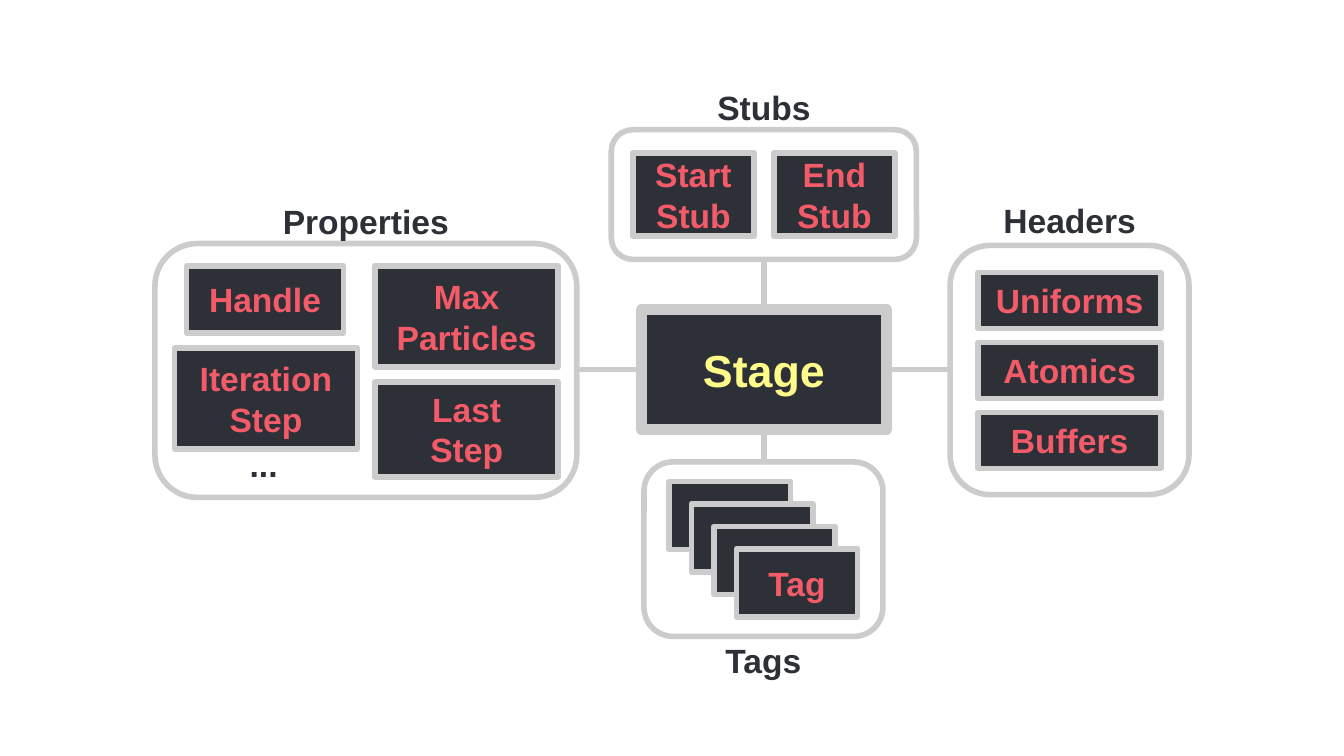
from collections import namedtuple
from dataclasses import dataclass

from lxml.etree import SubElement
from pptx import Presentation
from pptx.dml.color import RGBColor
from pptx.enum.shapes import MSO_CONNECTOR, MSO_SHAPE
from pptx.enum.text import MSO_ANCHOR, PP_ALIGN
from pptx.oxml.ns import qn
from pptx.util import Pt


@dataclass(frozen=True)
class Theme:
    dark: RGBColor = RGBColor(0x2E, 0x30, 0x37)
    border: RGBColor = RGBColor(0xCC, 0xCC, 0xCC)
    accent: RGBColor = RGBColor(0xF3, 0x5B, 0x69)
    highlight: RGBColor = RGBColor(0xFF, 0xFB, 0x8A)
    font: str = "Arial"
    stack_font: str = "Quicksand"
    body: int = 18
    hub: int = 24
    line: int = 3
    hub_line: int = 6


THEME = Theme()
Box = namedtuple("Box", "x y w h")
LABEL_HEIGHT = 30


def within(box, x, y, w, h):
    """Box whose offset is measured from the corner of another box."""
    return Box(box.x + x, box.y + y, w, h)


def lengths(box):
    return [Pt(value) for value in box]


def write(s, text, color, size=THEME.body, font=THEME.font):
    tf = s.text_frame
    tf.word_wrap = True
    tf.margin_left = tf.margin_right = tf.margin_top = tf.margin_bottom = Pt(7.2)
    tf.text = text
    for p in tf.paragraphs:
        p.alignment = PP_ALIGN.CENTER
        for r in p.runs:
            r.font.name = font
            r.font.size = Pt(size)
            r.font.bold = True
            r.font.color.rgb = color


def outline(s, width=THEME.line):
    s.line.color.rgb = THEME.border
    s.line.width = Pt(width)


def add_card(slide, box, text, color=THEME.accent, size=THEME.body,
             line=THEME.line, font=THEME.font):
    s = slide.shapes.add_shape(MSO_SHAPE.RECTANGLE, *lengths(box))
    s.shadow.inherit = False
    s.fill.solid()
    s.fill.fore_color.rgb = THEME.dark
    outline(s, line)
    # Rounded line joins soften the card corners
    SubElement(s.line._get_or_add_ln(), qn("a:round"))
    s.text_frame.vertical_anchor = MSO_ANCHOR.MIDDLE
    write(s, text, color, size, font)


def add_label(slide, box, text):
    s = slide.shapes.add_textbox(*lengths(box))
    write(s, text, THEME.dark)


def add_group(slide, box, title, title_y):
    """Rounded frame with a centred title, title_y below the frame's top."""
    s = slide.shapes.add_shape(MSO_SHAPE.ROUNDED_RECTANGLE, *lengths(box))
    s.shadow.inherit = False
    s.fill.background()
    s.adjustments[0] = 0.167
    outline(s)
    width = 115
    add_label(slide, within(box, (box.w - width) / 2, title_y, width, LABEL_HEIGHT), title)


def add_link(slide, x1, y1, x2, y2):
    s = slide.shapes.add_connector(MSO_CONNECTOR.STRAIGHT, *lengths((x1, y1, x2, y2)))
    outline(s)
    SubElement(s._element.spPr, qn("a:effectLst"))


def add_properties(slide, box):
    add_group(slide, box, "Properties", -LABEL_HEIGHT)
    cards = [
        ("Handle", 17, 12, 84, 36),
        ("Iteration\nStep", 10.5, 56, 98, 54),
        ("Max\nParticles", 118, 12, 98, 54),
        ("Last\nStep", 118, 74, 98, 51),
    ]
    for text, *place in cards:
        add_card(slide, within(box, *place), text)
    add_label(slide, within(box, 29.5, 100, 57.5, LABEL_HEIGHT), "...")


def add_stubs(slide, box):
    add_group(slide, box, "Stubs", -LABEL_HEIGHT)
    for i, text in enumerate(["Start\nStub", "End\nStub"]):
        add_card(slide, within(box, 11.5 + 75.5 * i, 12.5, 65, 44.5), text)


def add_headers(slide, box):
    add_group(slide, box, "Headers", -LABEL_HEIGHT - 1.5)
    for i, text in enumerate(["Uniforms", "Atomics", "Buffers"]):
        add_card(slide, within(box, 15, 14.5 + 37.5 * i, 98, 30), text)


def add_tags(slide, box):
    add_group(slide, box, "Tags", box.h - 5.5)
    count, step = 4, 12
    for i in range(count):
        font = THEME.font if i == count - 1 else THEME.stack_font
        add_card(slide, within(box, 13.5 + step * i, 10.5 + step * i, 65, 36.5),
                 "Tag", font=font)


def add_stage(slide, box):
    add_card(slide, box, "Stage", THEME.highlight, THEME.hub, THEME.hub_line)


def main():
    prs = Presentation()
    prs.slide_width, prs.slide_height = Pt(720), Pt(405)
    slide = prs.slides.add_slide(prs.slide_layouts[6])

    stage = Box(343.5, 166, 131.5, 64)
    properties = Box(83, 130.5, 226, 136)
    stubs = Box(327.5, 69.5, 163.5, 69.5)
    headers = Box(509, 131.5, 128, 133.5)
    tags = Box(345, 247.5, 128, 93.5)

    # Links from the stage to its four groups
    mid_x, mid_y = stage.x + stage.w / 2, stage.y + stage.h / 2
    add_link(slide, properties.x + properties.w, mid_y, stage.x, mid_y)
    add_link(slide, stage.x + stage.w, mid_y, headers.x, mid_y)
    add_link(slide, mid_x, stubs.y + stubs.h, mid_x, stage.y)
    add_link(slide, mid_x, stage.y + stage.h, mid_x, tags.y)

    # Stage and groups
    add_stage(slide, stage)
    add_properties(slide, properties)
    add_stubs(slide, stubs)
    add_headers(slide, headers)
    add_tags(slide, tags)

    prs.save("out.pptx")


if __name__ == "__main__":
    main()
